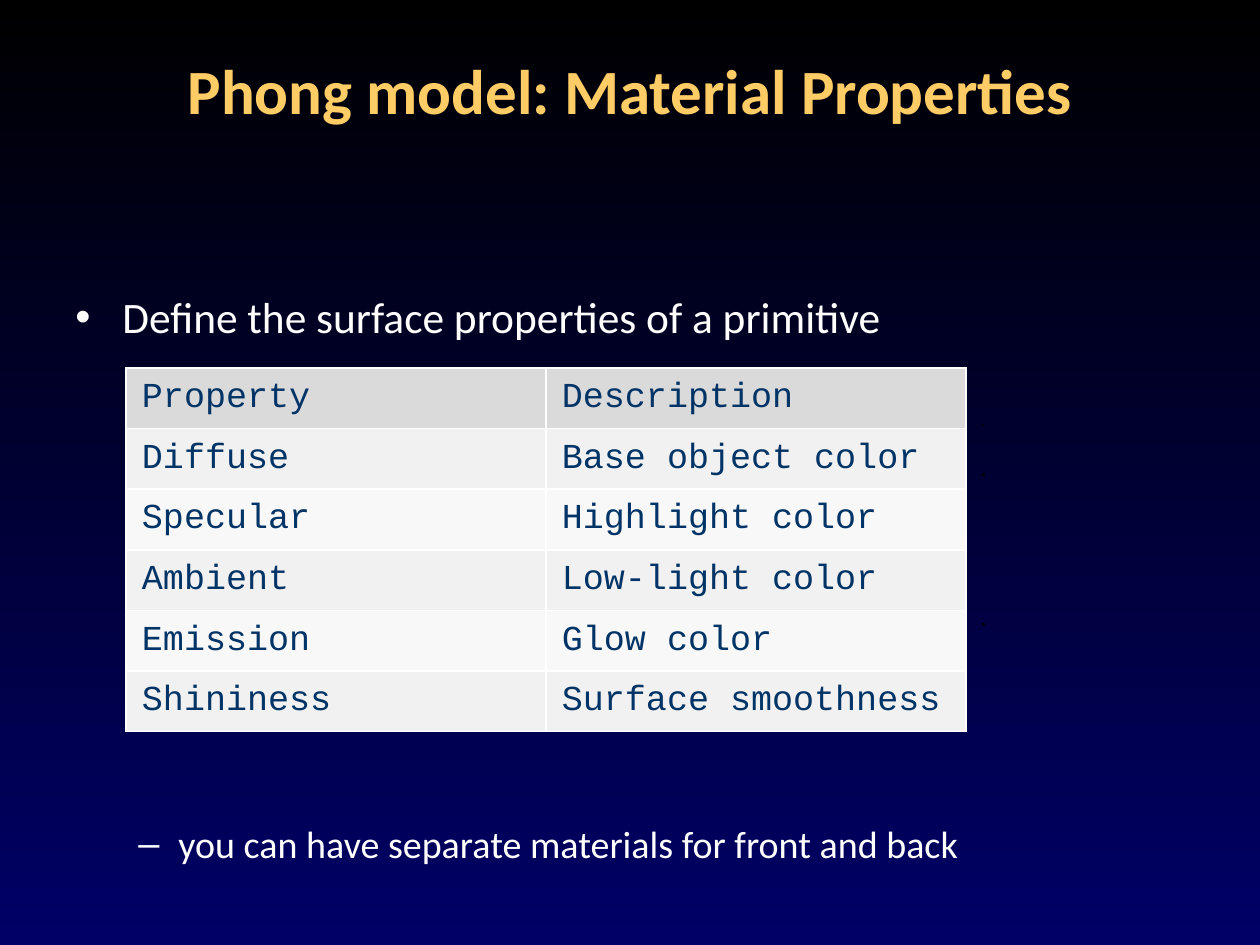
from dataclasses import dataclass

from lxml.etree import SubElement
from pptx import Presentation
from pptx.dml.color import RGBColor
from pptx.enum.shapes import MSO_SHAPE
from pptx.enum.text import MSO_ANCHOR, PP_ALIGN
from pptx.oxml.ns import qn
from pptx.util import Pt

SCALE = 914400 / 126  # EMU in one px


@dataclass(frozen=True)
class Theme:
    black: str = "000000"
    base: str = "000066"
    gold: str = "FFCC66"
    white: str = "FFFFFF"
    navy: str = "003366"
    gray: str = "C0C0C0"
    head: str = "DADADA"
    bands: tuple = ("F1F1F1", "F8F8F8")
    sans: str = "Calibri"
    mono: str = "Courier New"
    title: float = 36
    body: float = 24.8
    sub: float = 21.7
    cell: float = 20


THEME = Theme()
ROWS = [
    ("Property", "Description"),
    ("Diffuse", "Base object color"),
    ("Specular", "Highlight color"),
    ("Ambient", "Low-light color"),
    ("Emission", "Glow color"),
    ("Shininess", "Surface smoothness"),
]


def px(n):
    return round(n * SCALE)


def rgb(code):
    return RGBColor.from_string(code)


def style(para, face, size, color, bold=False):
    form = {"name": face, "size": Pt(size), "bold": bold}
    for key, value in form.items():
        setattr(para.font, key, value)
    para.font.color.rgb = rgb(color)


def backdrop(slide):
    fill = slide.background.fill
    fill.gradient()
    fill.gradient_angle = 270
    for stop, code in zip(fill.gradient_stops, (THEME.black, THEME.base)):
        stop.color.rgb = rgb(code)


def add_text(slide, box, text):
    frame = slide.shapes.add_textbox(*map(px, box)).text_frame
    frame.word_wrap = True
    para = frame.paragraphs[0]
    para.text = text
    return frame, para


def add_title(slide, box, text):
    frame, para = add_text(slide, box, text)
    frame.vertical_anchor = MSO_ANCHOR.MIDDLE
    para.alignment = PP_ALIGN.CENTER
    style(para, THEME.sans, THEME.title, THEME.gold, True)


def add_bullet(slide, box, text, mark, left, hang, size, level=0):
    para = add_text(slide, box, text)[1]
    para.level = level
    props = para._p.get_or_add_pPr()
    for key, value in {"marL": left, "indent": -hang}.items():
        props.set(key, str(px(value)))
    SubElement(props, qn("a:buFont"), typeface="Arial")
    SubElement(props, qn("a:buChar"), char=mark)
    style(para, THEME.sans, size, THEME.white)


def add_dot(slide, left, top, high, color):
    box = map(px, (left, top, 1, high))
    dot = slide.shapes.add_shape(MSO_SHAPE.RECTANGLE, *box)
    dot.shadow.inherit = False
    dot.fill.solid()
    dot.fill.fore_color.rgb = rgb(color)
    dot.line.color.rgb = rgb(THEME.black)
    dot.line.width = Pt(0.75)


def add_edges(cell):
    props = cell._tc.get_or_add_tcPr()
    for side in "LRTB":
        line = SubElement(props, qn(f"a:ln{side}"), w=str(Pt(1)))
        fill = SubElement(line, qn("a:solidFill"))
        SubElement(fill, qn("a:srgbClr"), val=THEME.white)


def fill_cell(cell, text, color):
    form = {
        "text": text,
        "vertical_anchor": MSO_ANCHOR.MIDDLE,
        "margin_left": px(16),
        "margin_right": px(16),
        "margin_top": px(8),
        "margin_bottom": px(8),
    }
    for key, value in form.items():
        setattr(cell, key, value)
    add_edges(cell)
    cell.fill.solid()
    cell.fill.fore_color.rgb = rgb(color)
    style(cell.text_frame.paragraphs[0], THEME.mono, THEME.cell, THEME.navy)


def add_grid(slide, box, rows):
    size = len(rows), len(rows[0])
    grid = slide.shapes.add_table(*size, *map(px, box)).table
    grid.first_row = grid.horz_banding = False
    for r, row in enumerate(rows):
        color = THEME.bands[(r - 1) % 2] if r else THEME.head
        for c, text in enumerate(row):
            fill_cell(grid.cell(r, c), text, color)


def main():
    deck = Presentation()
    deck.slide_width, deck.slide_height = px(1260), px(945)
    slide = deck.slides.add_slide(deck.slide_layouts[6])
    backdrop(slide)

    # Heading and main point
    add_title(slide, (21, 21, 1218, 136), "Phong model: Material Properties")
    add_bullet(slide, (63, 284, 1153, 66),
               "Define the surface properties of a primitive",
               "•", 47, 47, THEME.body)

    # Small marks right of the table
    add_dot(slide, 982, 425, 0, THEME.gray)
    for top in (474, 624):
        add_dot(slide, 983, top, 1, THEME.black)

    # Table of material properties
    add_grid(slide, (126, 368, 840, 364), ROWS)

    # Closing remark
    add_bullet(slide, (63, 814, 1153, 60),
               "you can have separate materials for front and back",
               "–", 103, 40, THEME.sub, 1)
    deck.save("out.pptx")


if __name__ == "__main__":
    main()
